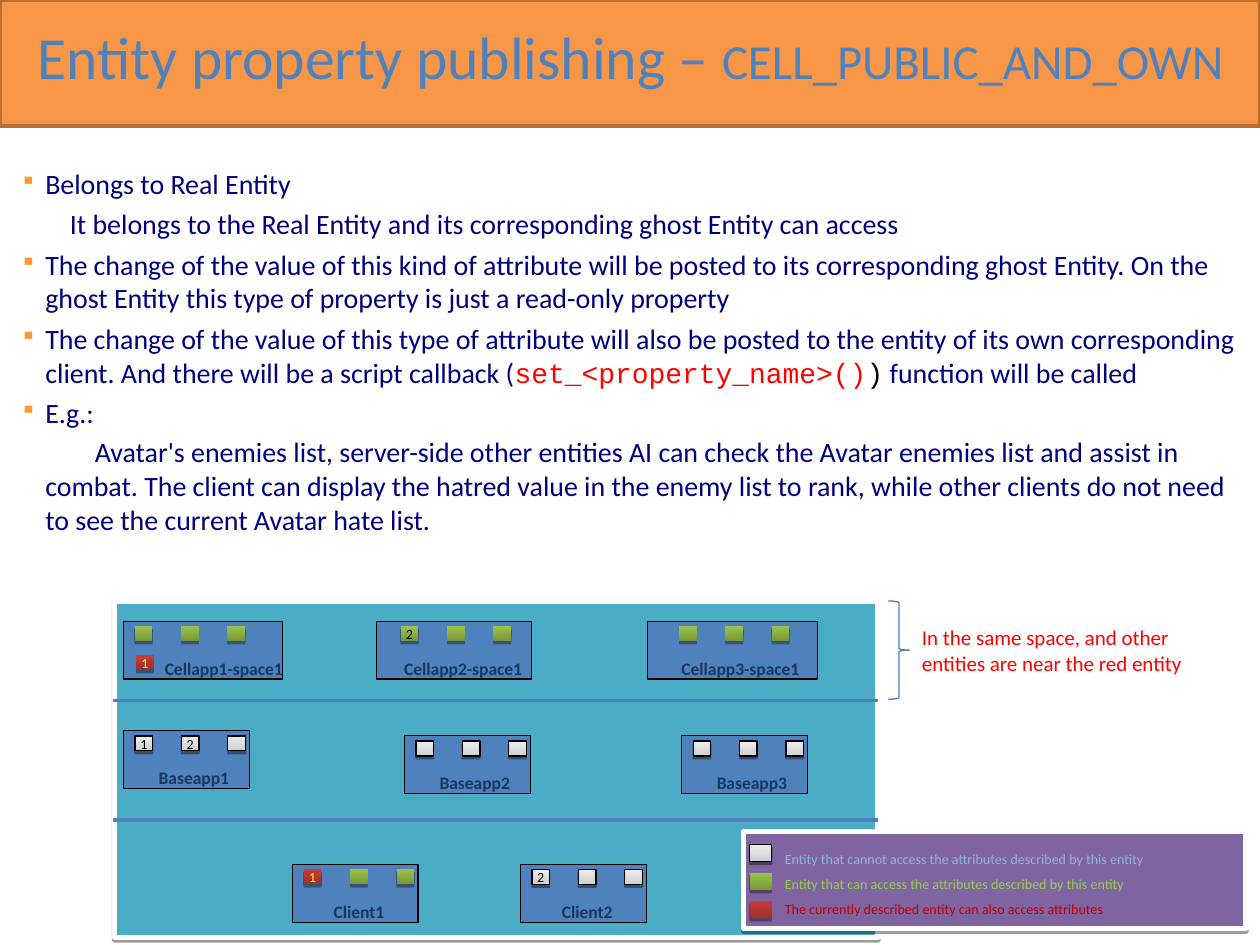
"""Build the slide on publishing entity properties to cells and own client."""
from lxml import etree
from pptx import Presentation
from pptx.dml.color import RGBColor
from pptx.enum.shapes import MSO_CONNECTOR, MSO_SHAPE
from pptx.enum.text import MSO_ANCHOR, MSO_AUTO_SIZE, PP_ALIGN
from pptx.oxml.ns import qn
from pptx.util import Pt

RECT, BRACE = MSO_SHAPE.RECTANGLE, MSO_SHAPE.RIGHT_BRACE
LINE = MSO_CONNECTOR.STRAIGHT
MID, TOP = MSO_ANCHOR.MIDDLE, MSO_ANCHOR.TOP
LEFT, CENTER = PP_ALIGN.LEFT, PP_ALIGN.CENTER
FIXED = MSO_AUTO_SIZE.NONE


class Theme:
    """Hold the fonts, sizes and colours."""
    font, code = "Calibri", "Courier New"
    title, sub, body, note, label, small = 34.1, 27.9, 16, 12, 10, 8
    bar, edge, head = "F79646", "B66E33", "4F81BD"
    navy, mark, red, black, white = "00007D", "FF9933", "FF0000", "000000", "FFFFFF"
    board, app, name, brace, key = "4BACC6", "4F81BD", "17375E", "4A7EBB", "8064A2"
    thin, rule, frame = 0.74, 2, 3


CELLS = {
    "w": (("D0D0D0", "EDEDED"), Theme.black, Theme.black),
    "g": (("779637", "9BC348"), None, Theme.black),
    "r": (("9C2F2C", "CB3D39"), None, "FFFF00"),
}
SOFT, DEEP = (38, 1.6), (35, 1.8)

TITLE = [("Entity property publishing – ", Theme.title), ("CELL_PUBLIC_AND_OWN", Theme.sub)]

BODY = [
    ("bullet", ["Belongs to Real Entity"]),
    ("sub", ["It belongs to the Real Entity and its corresponding ghost Entity can access"]),
    ("bullet", ["The change of the value of this kind of attribute will be posted to its "
                "corresponding ghost Entity. On the ghost Entity this type of property is "
                "just a read-only property"]),
    ("bullet", ["The change of the value of this type of attribute will also be posted to the "
                "entity of its own corresponding client. And there will be a script callback (",
                ("set_<property_name>()", Theme.red), (")", Theme.black),
                " function will be called"]),
    ("bullet", ["E.g.:"]),
    ("para", ["Avatar's enemies list, server-side other entities AI can check the Avatar "
              "enemies list and assist in combat. The client can display the hatred value in "
              "the enemy list to rank, while other clients do not need to see the current "
              "Avatar hate list."]),
]
INDENT = {"bullet": (14.4, -14.4, 4), "sub": (28.5, 0, 4), "para": (14.4, 28.3, 3.2)}

APPS = [
    ("Cellapp1-space1", 70.6, 355, 90.7, 16.5, 6.4, ["g", "g", "g"]),
    ("Cellapp2-space1", 215.3, 355, 88.6, 8.6, 13.7, ["g2", "g", "g"]),
    ("Cellapp3-space1", 370.1, 355, 97.2, 12.2, 18, ["g", "g", "g"]),
    ("Baseapp1", 70.6, 417.6, 72, 13, 6.6, ["w1", "w2", "w"]),
    ("Baseapp2", 231.1, 420.5, 72, 13, 6.6, ["w", "w", "w"]),
    ("Baseapp3", 389.5, 420.5, 72, 13, 6.6, ["w", "w", "w"]),
    ("Client1", 167, 493.9, 72, 16.6, 6.6, ["r1", "g", "g"]),
    ("Client2", 297.4, 493.9, 72, 16.6, 6.6, ["w2", "w", "w"]),
]
GAP, CELL = 26.5, (10.1, 8.6)
NOTE = "In the same space, and other entities are near the red entity"
KEYS = [
    ("w", "Entity that cannot access the attributes described by this entity", "8EB4E3"),
    ("g", "Entity that can access the attributes described by this entity", "92D050"),
    ("r", "The currently described entity can also access attributes", "C00000"),
]

deck = Presentation()
deck.slide_width, deck.slide_height = Pt(720), Pt(540)
slide = deck.slides.add_slide(deck.slide_layouts[5])
shapes = slide.shapes


def color(code):
    return RGBColor.from_string(code)


def node(owner, tag, **attrs):
    return etree.SubElement(owner, qn("a:" + tag), {k: str(v) for k, v in attrs.items()})


def shade(shape, alpha, dist):
    glow = node(shape._element.spPr.find(qn("a:effectLst")), "outerShdw", blurRad=0,
                dist=int(Pt(dist)), dir=5400000, rotWithShape=0)
    node(node(glow, "srgbClr", val=Theme.black), "alpha", val=alpha * 1000)


def block(box, fill=None, line=None, width=Theme.thin, kind=RECT, shadow=None):
    shape = shapes.add_shape(kind, *map(Pt, box))
    shape.shadow.inherit = False
    if fill:
        shape.fill.solid()
        shape.fill.fore_color.rgb = color(fill)
    else:
        shape.fill.background()
    if line:
        shape.line.color.rgb = color(line)
        shape.line.width = Pt(width)
    else:
        shape.line.fill.background()
    if shadow:
        shade(shape, *shadow)
    return shape


def write(para, text, size, tint, font=Theme.font, bold=False):
    run = para.add_run()
    run.text = text
    run.font.size, run.font.name, run.font.bold = Pt(size), font, bold
    run.font.color.rgb = color(tint)


def setup(frame, pads=(7.2, 3.6, 7.2, 3.6), anchor=TOP, wrap=True):
    frame.auto_size, frame.word_wrap, frame.vertical_anchor = FIXED, wrap, anchor
    frame.margin_left, frame.margin_top, frame.margin_right, frame.margin_bottom = map(Pt, pads)
    return frame


def area(box, **opts):
    return setup(shapes.add_textbox(*map(Pt, box)).text_frame, **opts)


def lines(frame, items):
    for i, item in enumerate(items):
        yield (frame.add_paragraph() if i else frame.paragraphs[0]), item


def cell(code, x, y, size=CELL):
    stops, line, ink = CELLS[code[0]]
    shape = block((x, y, *size), line=line, shadow=SOFT if line else DEEP)
    shape.fill.gradient()
    shape.fill.gradient_angle = 90
    for stop, tint in zip(shape.fill.gradient_stops, stops):
        stop.color.rgb = color(tint)
    if code[1:]:
        para = setup(shape.text_frame, anchor=MID, wrap=False).paragraphs[0]
        para.alignment = CENTER
        write(para, code[1:], Theme.small, ink)


bar = block((0, 0, 720, 72), Theme.bar, Theme.edge, Theme.rule)
title = shapes.title
title._element.addprevious(bar._element)
title.left, title.top, title.width, title.height = map(Pt, (14.4, 10.1, 697, 51.1))
para = setup(title.text_frame, anchor=MID).paragraphs[0]
para.alignment, para.line_spacing = LEFT, 0.8
for text, size in TITLE:
    write(para, text, size, Theme.head)

frame = area((7.2, 94.3, 712.8, 232.6), pads=(4.3, 0.7, 2.9, 3.6))
for para, (kind, runs) in lines(frame, BODY):
    margin, first, gap = INDENT[kind]
    para.space_before = Pt(gap)
    props = para._p.get_or_add_pPr()
    props.set("marL", str(int(Pt(margin))))
    props.set("indent", str(int(Pt(first))))
    if kind == "bullet":
        node(node(props, "buClr"), "srgbClr", val=Theme.mark)
        node(props, "buSzPct", val=80000)
        node(props, "buChar", char="▪")
    for run in runs:
        if isinstance(run, tuple):
            write(para, run[0], Theme.body, run[1], Theme.code)
        else:
            write(para, run, Theme.body, Theme.navy)

block((65.5, 343.4, 436.3, 192.2), Theme.board, Theme.white, Theme.frame, shadow=SOFT)
for y in (400.3, 468.7):
    rule = shapes.add_connector(LINE, Pt(64.8), Pt(y), Pt(501.8), Pt(y))
    rule.line.color.rgb, rule.line.width = color(Theme.head), Pt(Theme.rule)
    node(rule._element.spPr, "effectLst")

for name, x, y, width, inset, start, codes in APPS:
    block((x, y, width, 33.1), Theme.app, Theme.black)
    frame = area((x + inset, y + 17.3, 88 if "-" in name else 62, 22))
    write(frame.paragraphs[0], name, Theme.label, Theme.name, bold=True)
    for i, code in enumerate(codes):
        cell(code, x + start + i * GAP, y + 2.9)
cell("r1", 77.8, 374.4)

brace = block((507.6, 343.4, 12.2, 56.2), line=Theme.brace, kind=BRACE)
brace.adjustments[0], brace.adjustments[1] = 0.08, 0.5
write(area((519.8, 353.5, 192.2, 49.7)).paragraphs[0], NOTE, Theme.note, Theme.red)

block((424.8, 475.2, 287.3, 55.4), Theme.key, Theme.white, Theme.frame, shadow=SOFT)
frame = area((441.4, 477.4, 271.4, 64.1))
for i, (para, (code, text, tint)) in enumerate(lines(frame, KEYS)):
    para.line_spacing = 1.5
    write(para, text, Theme.small, tint)
    cell(code, 428.4, 482.4 + i * 16.2, (12.6, 10.1))

deck.save("out.pptx")
